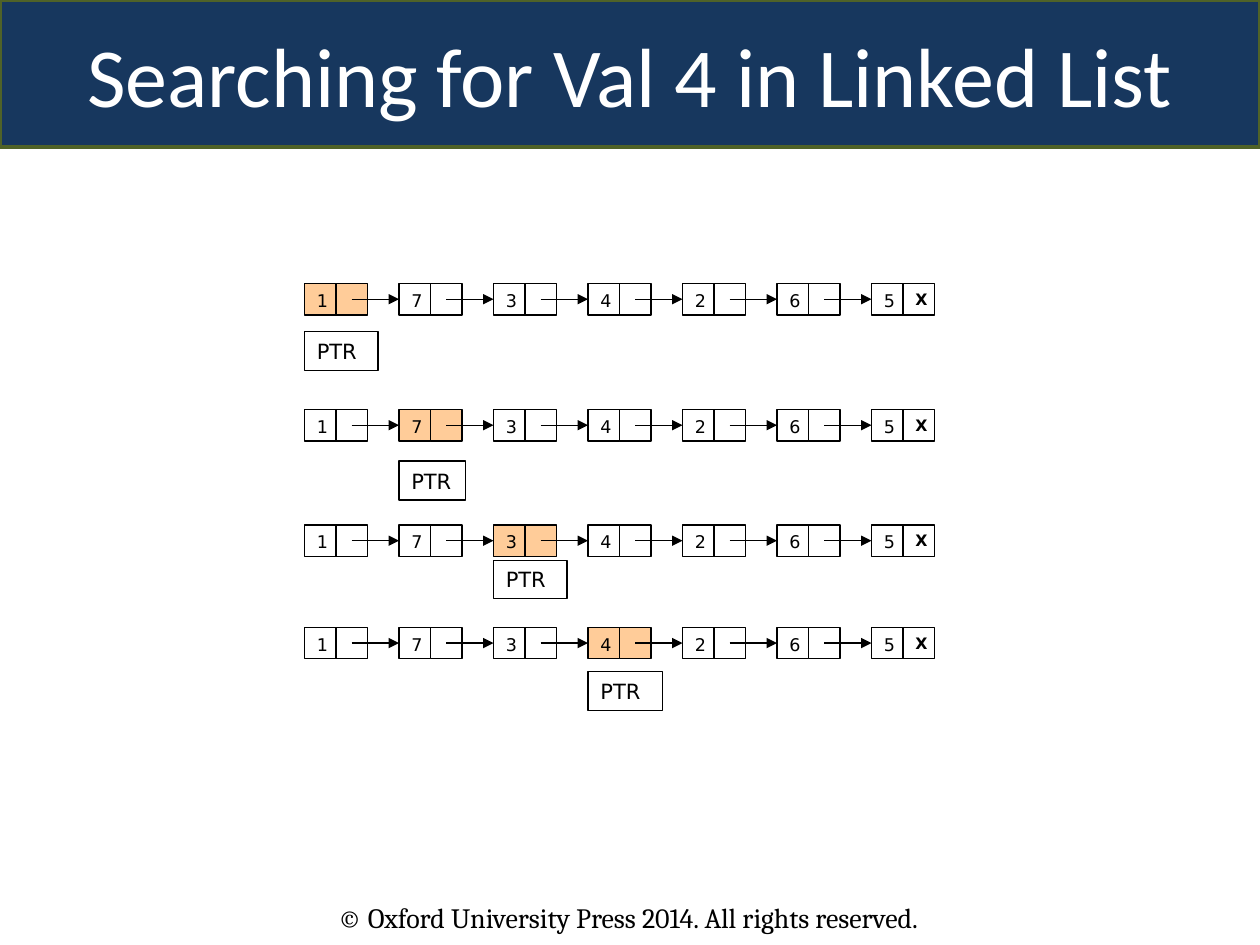
from dataclasses import dataclass

from pptx import Presentation
from pptx.dml.color import RGBColor
from pptx.enum.shapes import MSO_CONNECTOR, MSO_SHAPE
from pptx.enum.text import MSO_ANCHOR, MSO_AUTO_SIZE, PP_ALIGN
from pptx.oxml.ns import qn
from pptx.shapes.autoshape import Shape
from pptx.shapes.shapetree import GroupShapes, SlideShapes
from pptx.util import Pt


@dataclass(frozen=True)
class Theme:
    navy: RGBColor = RGBColor(0x17, 0x37, 0x5E)
    olive: RGBColor = RGBColor(0x4F, 0x62, 0x28)
    peach: RGBColor = RGBColor(0xFF, 0xCC, 0x99)
    white: RGBColor = RGBColor(0xFF, 0xFF, 0xFF)
    black: RGBColor = RGBColor(0, 0, 0)
    title_font: str = "Calibri"
    footer_font: str = "Cambria"
    node_font: str = "DejaVu Sans"
    title_size: float = 48
    footer_size: float = 16
    pointer_size: float = 12
    value_size: float = 10
    end_size: float = 9
    line_width: float = 0.75


@dataclass(frozen=True)
class Step:
    """One state of the search: the list and the pointer under its current node."""
    top: float
    current: int
    pointer_top: float
    pointer_width: float
    pointer_height: float


THEME = Theme()
VALUES = ["1", "7", "3", "4", "2", "6", "5"]
LIST_LEFT = 174
CELL = 18
PITCH = 3 * CELL
STEPS = [
    Step(162, 0, 189.5, 42, 22.3),
    Step(234, 1, 263.5, 38.2, 22.3),
    Step(300, 2, 320.4, 42, 21.6),
    Step(358.5, 3, 383.8, 42.5, 22.3),
]


def set_text(shape: Shape, text: str, font: str, size: float, color: RGBColor,
             anchor: MSO_ANCHOR = MSO_ANCHOR.TOP,
             align: PP_ALIGN = PP_ALIGN.LEFT, bold: bool = False) -> None:
    frame = shape.text_frame
    frame.word_wrap = True
    frame.auto_size = MSO_AUTO_SIZE.NONE
    frame.vertical_anchor = anchor
    para = frame.paragraphs[0]
    para.text = text
    para.alignment = align
    para.font.name = font
    para.font.size = Pt(size)
    para.font.bold = bold
    para.font.color.rgb = color


def add_box(shapes: SlideShapes | GroupShapes, left: float, top: float,
            width: float, height: float, fill: RGBColor | None = None) -> Shape:
    box = shapes.add_shape(MSO_SHAPE.RECTANGLE, Pt(left), Pt(top), Pt(width), Pt(height))
    box.shadow.inherit = False
    if fill is None:
        box.fill.background()
    else:
        box.fill.solid()
        box.fill.fore_color.rgb = fill
    box.line.color.rgb = THEME.black
    box.line.width = Pt(THEME.line_width)
    return box


def add_arrow(shapes: GroupShapes, start: float, end: float, middle: float) -> None:
    arrow = shapes.add_connector(MSO_CONNECTOR.STRAIGHT,
                                 Pt(start), Pt(middle), Pt(end), Pt(middle))
    arrow.line.color.rgb = THEME.black
    arrow.line.width = Pt(THEME.line_width)
    properties = arrow._element.spPr
    outline = properties.find(qn("a:ln"))
    outline.append(outline.makeelement(qn("a:tailEnd"), {"type": "triangle"}))
    properties.append(properties.makeelement(qn("a:effectLst"), {}))


def add_step(shapes: SlideShapes, step: Step) -> None:
    # Linked list, with the current node highlighted
    nodes = shapes.add_group_shape().shapes
    for index, value in enumerate(VALUES):
        left = LIST_LEFT + index * PITCH
        fill = THEME.peach if index == step.current else THEME.white
        data = add_box(nodes, left, step.top, CELL, CELL, fill)
        set_text(data, value, THEME.node_font, THEME.value_size, THEME.black)
        link = add_box(nodes, left + CELL, step.top, CELL, CELL, fill)
        if index < len(VALUES) - 1:
            add_arrow(nodes, left + 1.5 * CELL, left + PITCH, step.top + CELL / 2)
        else:
            set_text(link, "X", THEME.node_font, THEME.end_size, THEME.black, bold=True)

    # Pointer label
    pointer = add_box(shapes, LIST_LEFT + step.current * PITCH, step.pointer_top,
                      step.pointer_width, step.pointer_height)
    set_text(pointer, "PTR", THEME.node_font, THEME.pointer_size, THEME.black,
             MSO_ANCHOR.MIDDLE)


def main() -> None:
    deck = Presentation()
    deck.slide_width, deck.slide_height = Pt(720), Pt(540)
    page = deck.slides.add_slide(deck.slide_layouts[5])

    # Title band
    title = page.shapes.title
    title.left, title.top, title.width, title.height = Pt(0), Pt(0), Pt(720), Pt(84)
    title.fill.solid()
    title.fill.fore_color.rgb = THEME.navy
    title.line.color.rgb = THEME.olive
    title.line.width = Pt(2)
    set_text(title, "Searching for Val 4 in Linked List", THEME.title_font,
             THEME.title_size, THEME.white, MSO_ANCHOR.MIDDLE, PP_ALIGN.CENTER)

    # Search steps
    for step in STEPS:
        add_step(page.shapes, step)

    # Copyright line
    footer = page.shapes.add_textbox(Pt(186), Pt(511), Pt(426), Pt(26.6))
    set_text(footer, "© Oxford University Press 2014. All rights reserved.",
             THEME.footer_font, THEME.footer_size, THEME.black)

    deck.save("out.pptx")


if __name__ == "__main__":
    main()
